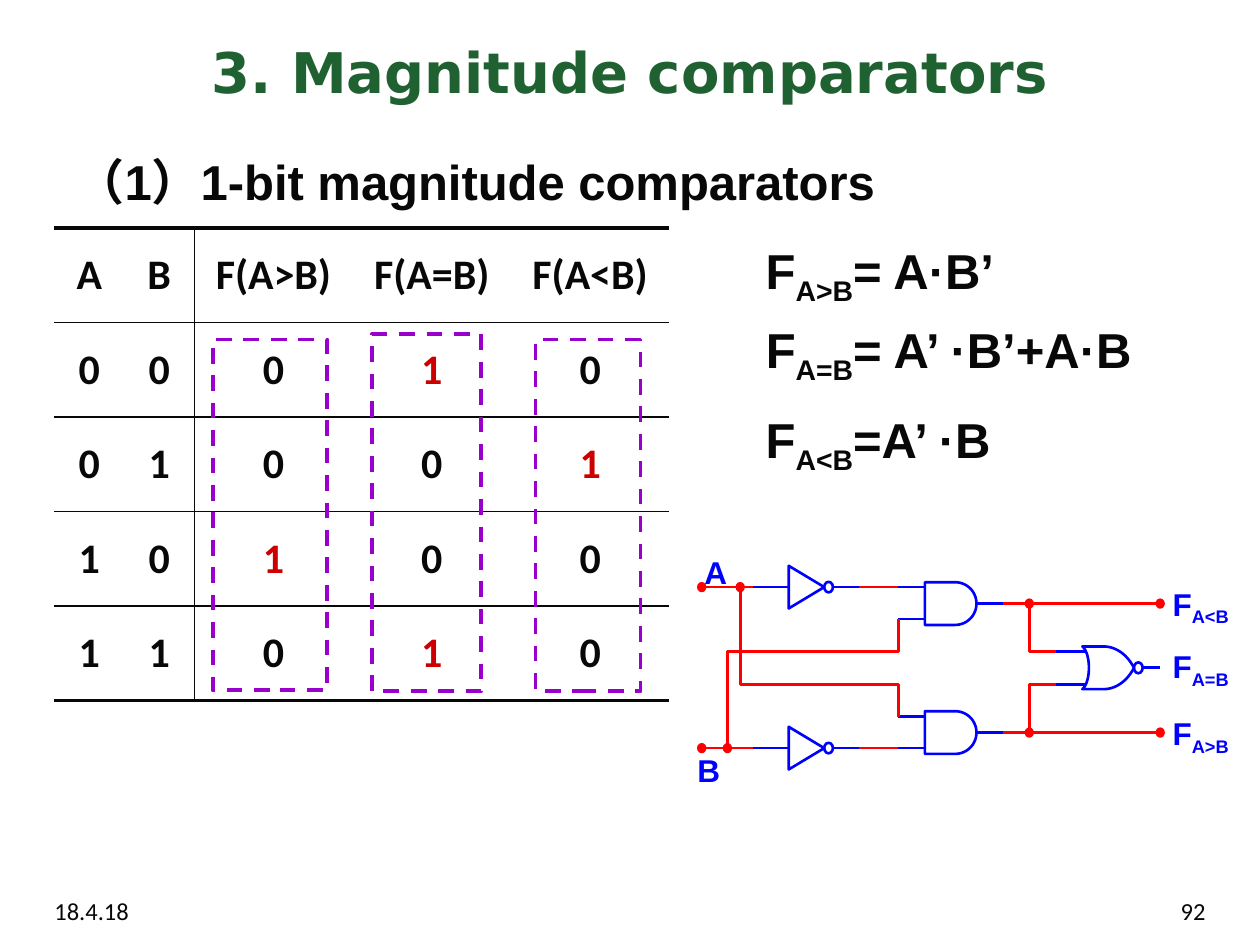
"""Build a slide on 1-bit magnitude comparators: truth table, equations and logic circuit."""
from lxml.etree import SubElement
from pptx import Presentation
from pptx.dml.color import RGBColor
from pptx.enum.dml import MSO_LINE
from pptx.enum.shapes import MSO_CONNECTOR, MSO_SHAPE
from pptx.enum.text import MSO_ANCHOR, MSO_AUTO_SIZE, PP_ALIGN
from pptx.oxml.ns import qn
from pptx.util import Pt

INK, GREEN, PURPLE = "080808", "1F6130", "9900CC"
RED, BLUE, ONE_RED = "FF0000", "0000FF", "CC0000"

TITLE = "3. Magnitude comparators"
HEADING = "（1）1-bit magnitude comparators"
FOOTERS = [("18.4.18", 24, PP_ALIGN.LEFT), ("92", 516, PP_ALIGN.RIGHT)]
TRUTH_TABLE = [
    ("A", "B", "F(A>B)", "F(A=B)", "F(A<B)"),
    ("0", "0", "0", "1", "0"),
    ("0", "1", "0", "0", "1"),
    ("1", "0", "1", "0", "0"),
    ("1", "1", "0", "1", "0"),
]
COLUMN_WIDTHS = (40, 40, 90.5, 90.5, 90.5)
ROW_HEIGHT = 54
HIGHLIGHTS = [(121.5, 194, 65.5, 200.5), (212.5, 191, 62.5, 204), (306, 194, 60, 201)]
EQUATIONS = [
    ("A>B", "= A·B’", 134, 227),
    ("A=B", "= A’ ·B’+A·B", 179, 275),
    ("A<B", "=A’ ·B", 230.5, 227),
]
CIRCUIT_LABELS = [
    ("A", "", 395.5, 312.5, 27.5),
    ("B", "", 391.5, 425.5, 27.5),
    ("F", "A>B", 663, 404.5, 50),
    ("F", "A<B", 663, 330.5, 50),
    ("F", "A=B", 663, 366, 50),
]
INPUT_A, INPUT_B = 335.5, 427.5
OUTPUT_LESS, OUTPUT_EQUAL, OUTPUT_GREATER = 344.9, 381.6, 418.6
NOR_TOP, NOR_BOTTOM = 372.3, 391
B_TAP, A_TAP, OUTPUT_TAP = 415.7, 423, 588.2
AND_B, AND_A = 353.8, 409.5
BLUE_LINES = (
    [(x1, y, x2, y) for y in (INPUT_A, INPUT_B) for x1, x2 in ((430.5, 450.7), (476, 491))]
    + [(513.3, y, 528.5, y) for y in (INPUT_A, AND_B, AND_A, INPUT_B)]
    + [(558, y, 573, y) for y in (OUTPUT_LESS, OUTPUT_GREATER)]
    + [(603.4, y, 620.5, y) for y in (NOR_TOP, NOR_BOTTOM)]
    + [(653, OUTPUT_EQUAL, 663, OUTPUT_EQUAL)]
)
RED_LINES = [(x1, y, x2, y) for y in (INPUT_A, INPUT_B) for x1, x2 in ((401, 430.5), (491, 513.3))] + [
    (573, y, 663, y) for y in (OUTPUT_LESS, OUTPUT_GREATER)
]
RED_BENDS = [
    [(OUTPUT_TAP, OUTPUT_LESS), (OUTPUT_TAP, NOR_TOP), (603.4, NOR_TOP)],
    [(OUTPUT_TAP, OUTPUT_GREATER), (OUTPUT_TAP, NOR_BOTTOM), (603.4, NOR_BOTTOM)],
    [(B_TAP, INPUT_B), (B_TAP, NOR_TOP), (513.3, NOR_TOP), (513.3, AND_B)],
    [(A_TAP, INPUT_A), (A_TAP, NOR_BOTTOM), (513.3, NOR_BOTTOM), (513.3, AND_A)],
]
DOTS = [
    (401, INPUT_A), (A_TAP, INPUT_A), (401, INPUT_B), (B_TAP, INPUT_B),
    (OUTPUT_TAP, OUTPUT_LESS), (663, OUTPUT_LESS),
    (OUTPUT_TAP, OUTPUT_GREATER), (663, OUTPUT_GREATER),
]


def color(value):
    return RGBColor.from_string(value)


def style_font(font, size, name, value, bold=True):
    font.size, font.name, font.bold = Pt(size), name, bold
    font.color.rgb = color(value)


def style_shape(shape, line, width=1.5, fill=None):
    shape.shadow.inherit = False
    shape.line.color.rgb = color(line)
    shape.line.width = Pt(width)
    if fill:
        shape.fill.solid()
        shape.fill.fore_color.rgb = color(fill)
    else:
        shape.fill.background()


def place(shape, left, top, width, height):
    shape.left, shape.top, shape.width, shape.height = Pt(left), Pt(top), Pt(width), Pt(height)


def fill_placeholder(shape, text, box, size, name, value):
    place(shape, *box)
    frame = shape.text_frame
    frame.text = text
    frame.auto_size = MSO_AUTO_SIZE.NONE
    paragraph = frame.paragraphs[0]
    paragraph.space_before = Pt(0)
    style_font(paragraph.runs[0].font, size, name, value)
    return paragraph


def add_text(shapes, parts, box, size, name, value, bold=True, wrap=True):
    frame = shapes.add_textbox(*map(Pt, box)).text_frame
    frame.word_wrap = wrap
    paragraph = frame.paragraphs[0]
    for index, part in enumerate(parts):
        run = paragraph.add_run()
        run.text = part
        style_font(run.font, size, name, value, bold)
        if index == 1:
            run._r.get_or_add_rPr().set("baseline", "-25000")
    return paragraph


def set_borders(cell, widths):
    properties = cell._tc.get_or_add_tcPr()
    for side in "LRTB":
        width = widths.get(side, 0)
        line = SubElement(properties, qn(f"a:ln{side}"), w=str(int(Pt(width))))
        if width:
            SubElement(SubElement(line, qn("a:solidFill")), qn("a:srgbClr"), val=INK)
        else:
            SubElement(line, qn("a:noFill"))


def add_truth_table(shapes):
    rows, columns = len(TRUTH_TABLE), len(COLUMN_WIDTHS)
    table = shapes.add_table(
        rows, columns, Pt(31), Pt(130.3), Pt(sum(COLUMN_WIDTHS)), Pt(rows * ROW_HEIGHT)
    ).table
    table.first_row = table.horz_banding = False
    for column, width in zip(table.columns, COLUMN_WIDTHS):
        column.width = Pt(width)
    for r, values in enumerate(TRUTH_TABLE):
        table.rows[r].height = Pt(ROW_HEIGHT)
        for c, value in enumerate(values):
            cell = table.cell(r, c)
            cell.text_frame.text = value
            cell.vertical_anchor = MSO_ANCHOR.MIDDLE
            paragraph = cell.text_frame.paragraphs[0]
            paragraph.alignment = PP_ALIGN.CENTER
            is_output_one = c > 1 and value == "1"
            style_font(paragraph.runs[0].font, 24, "Calibri", ONE_RED if is_output_one else INK)
            set_borders(cell, {
                "T": 1 if r else 2.25, "B": 2.25 if r == rows - 1 else 1,
                "R": int(c == 1), "L": int(c == 2),
            })
            cell.fill.background()


def add_line(shapes, ends, value):
    line = shapes.add_connector(MSO_CONNECTOR.STRAIGHT, *map(Pt, ends))
    line.line.color.rgb = color(value)
    line.line.width = Pt(1.5)
    SubElement(line._element.spPr, qn("a:effectLst"))


def add_outline(shapes, points, value, close=False):
    start, *rest = [(Pt(x), Pt(y)) for x, y in points]
    builder = shapes.build_freeform(*start)
    builder.add_line_segments(rest, close=close)
    style_shape(builder.convert_to_shape(), value)


def add_ellipse(shapes, x, y, width, height, value, fill=None):
    box = (x - width / 2, y - height / 2, width, height)
    style_shape(shapes.add_shape(MSO_SHAPE.OVAL, *map(Pt, box)), value, fill=fill)


def curve(*controls, steps=16):
    weights = (1, 3, 3, 1)
    return [
        tuple(sum(w * (1 - t) ** (3 - i) * t ** i * point[axis]
                  for i, (w, point) in enumerate(zip(weights, controls))) for axis in (0, 1))
        for t in (step / steps for step in range(steps + 1))
    ]


def add_circuit(shapes):
    for y in (INPUT_A, INPUT_B):
        add_outline(shapes, [(450.7, y - 12.2), (450.7, y + 12.2), (471, y)], BLUE, close=True)
        add_ellipse(shapes, 473.5, y, 5, 6, BLUE)
    for y in (OUTPUT_LESS, OUTPUT_GREATER):
        top, bottom = y - 12.2, y + 12.2
        nose = curve((545.8, top), (552.5, top), (558, y - 6.8), (558, y))
        nose += curve((558, y), (558, y + 6.8), (552.5, bottom), (545.8, bottom))
        add_outline(shapes, [(528.5, top), *nose, (528.5, bottom)], BLUE, close=True)
    y, top, bottom = OUTPUT_EQUAL, OUTPUT_EQUAL - 12.2, OUTPUT_EQUAL + 12.2
    nor = curve((618.5, top), (623.5, top + 4), (623.5, bottom - 4), (618.5, bottom))
    nor += curve((630.7, bottom), (638, bottom), (644.5, y + 7), (648, y))
    nor += curve((648, y), (644.5, y - 7), (638, top), (630.7, top))
    add_outline(shapes, nor, BLUE, close=True)
    add_ellipse(shapes, 650.5, y, 5, 6.2, BLUE)
    for lines, value in ((BLUE_LINES, BLUE), (RED_LINES, RED)):
        for ends in lines:
            add_line(shapes, ends, value)
    for points in RED_BENDS:
        add_outline(shapes, points, RED)
    for x, y in DOTS:
        add_ellipse(shapes, x, y, 3.8, 4.4, RED, fill=RED)
    for name, subscript, left, top, width in CIRCUIT_LABELS:
        parts = [name, subscript] if subscript else [name]
        add_text(shapes, parts, (left, top, width, 29), 18, "Arial", BLUE, wrap=False)


def main():
    presentation = Presentation()
    presentation.slide_width, presentation.slide_height = Pt(720), Pt(540)
    slide = presentation.slides.add_slide(presentation.slide_layouts[1])
    shapes = slide.shapes
    title = fill_placeholder(shapes.title, TITLE, (24, 18, 672, 45), 32, "DejaVu Sans", GREEN)
    title.alignment = PP_ALIGN.CENTER
    shapes.title.text_frame.vertical_anchor = MSO_ANCHOR.MIDDLE
    heading = fill_placeholder(slide.placeholders[1], HEADING, (36, 83, 648, 400), 28, "Arial", INK)
    properties = heading._p.get_or_add_pPr()
    properties.set("marL", str(int(Pt(27))))
    properties.set("indent", str(int(Pt(-27))))
    SubElement(properties, qn("a:buNone"))
    for text, left, alignment in FOOTERS:
        box = (left, 508.5, 180, 21)
        add_text(shapes, [text], box, 14, "Calibri", INK, bold=False).alignment = alignment
    add_truth_table(shapes)
    for box in HIGHLIGHTS:
        highlight = shapes.add_shape(MSO_SHAPE.RECTANGLE, *map(Pt, box))
        style_shape(highlight, PURPLE, 2.25)
        highlight.line.dash_style = MSO_LINE.DASH
    for subscript, expression, top, width in EQUATIONS:
        add_text(shapes, ["F", subscript, expression], (430.5, top, width, 41), 28, "Arial", INK)
    add_circuit(shapes.add_group_shape().shapes)
    presentation.save("out.pptx")


if __name__ == "__main__":
    main()
